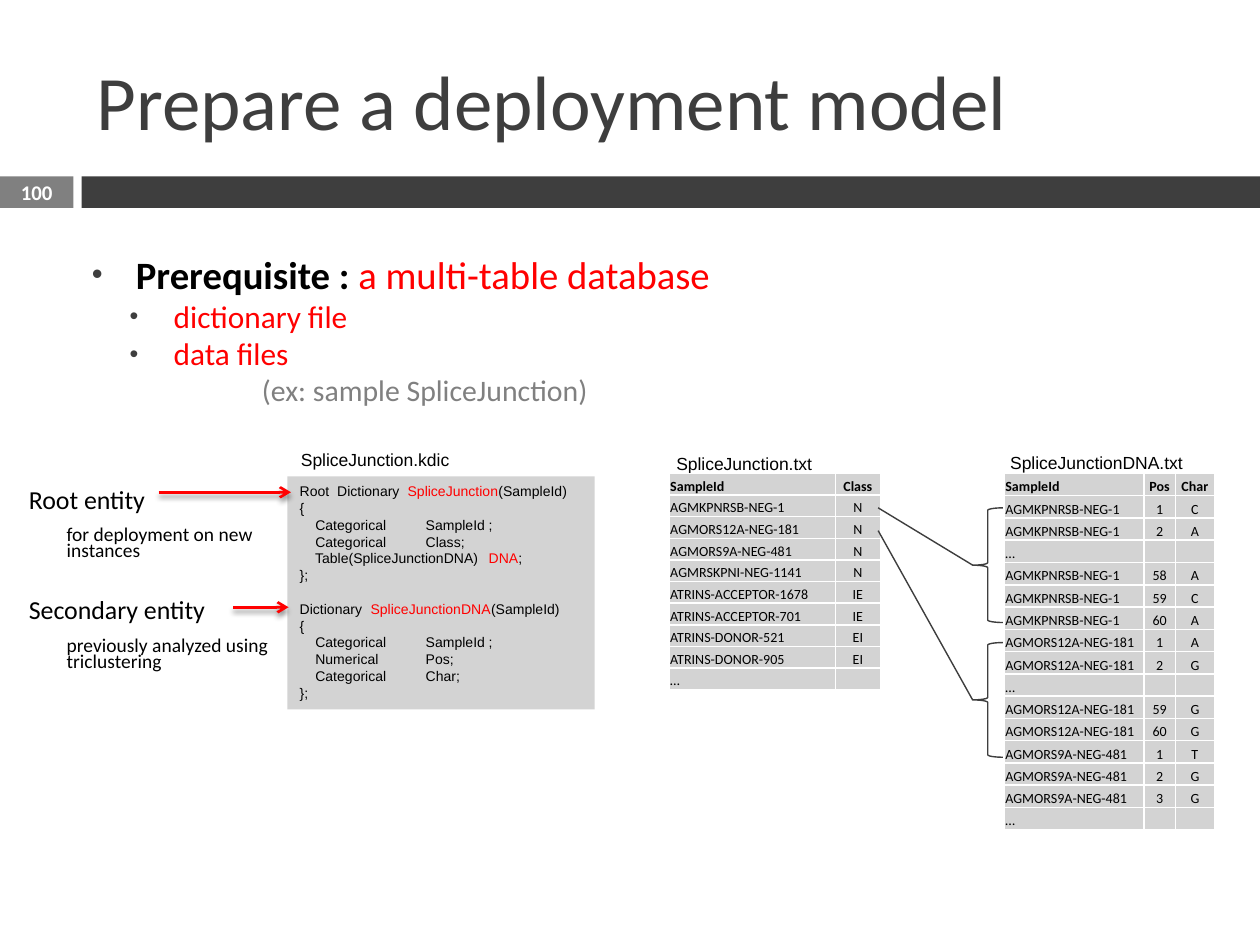
from lxml.etree import SubElement
from pptx import Presentation
from pptx.dml.color import RGBColor
from pptx.enum.shapes import MSO_CONNECTOR, MSO_SHAPE
from pptx.enum.text import MSO_ANCHOR, PP_ALIGN
from pptx.oxml.ns import qn
from pptx.util import Pt

BLACK = RGBColor(0, 0, 0)
WHITE = RGBColor(255, 255, 255)
RED = RGBColor(255, 0, 0)
CHARCOAL = RGBColor(0x3E, 0x3E, 0x3E)
GREY = RGBColor(0x80, 0x80, 0x80)
PANEL = RGBColor(0xD3, 0xD3, 0xD3)

DICTIONARY_LINES = [
    [("Root  Dictionary  ", BLACK), ("SpliceJunction", RED), ("(SampleId)", BLACK)],
    [("{", BLACK)],
    [("    Categorical\tSampleId\t;", BLACK)],
    [("    Categorical\tClass;", BLACK)],
    [("    Table(SpliceJunctionDNA)\t", BLACK), ("DNA", RED), (";", BLACK)],
    [("};", BLACK)],
    [("Dictionary\t  ", BLACK), ("SpliceJunctionDNA", RED), ("(SampleId)", BLACK)],
    [("{", BLACK)],
    [("    Categorical\tSampleId\t;", BLACK)],
    [("    Numerical\tPos;", BLACK)],
    [("    Categorical\tChar;", BLACK)],
    [("};", BLACK)],
]
SECOND_DICTIONARY = 6
SAMPLES = [
    ("SampleId", "Class"),
    ("AGMKPNRSB-NEG-1", "N"),
    ("AGMORS12A-NEG-181", "N"),
    ("AGMORS9A-NEG-481", "N"),
    ("AGMRSKPNI-NEG-1141", "N"),
    ("ATRINS-ACCEPTOR-1678", "IE"),
    ("ATRINS-ACCEPTOR-701", "IE"),
    ("ATRINS-DONOR-521", "EI"),
    ("ATRINS-DONOR-905", "EI"),
    ("…", ""),
]
POSITIONS = [
    ("SampleId", "Pos", "Char"),
    ("AGMKPNRSB-NEG-1", "1", "C"),
    ("AGMKPNRSB-NEG-1", "2", "A"),
    ("…", "", ""),
    ("AGMKPNRSB-NEG-1", "58", "A"),
    ("AGMKPNRSB-NEG-1", "59", "C"),
    ("AGMKPNRSB-NEG-1", "60", "A"),
    ("AGMORS12A-NEG-181", "1", "A"),
    ("AGMORS12A-NEG-181", "2", "G"),
    ("…", "", ""),
    ("AGMORS12A-NEG-181", "59", "G"),
    ("AGMORS12A-NEG-181", "60", "G"),
    ("AGMORS9A-NEG-481", "1", "T"),
    ("AGMORS9A-NEG-481", "2", "G"),
    ("AGMORS9A-NEG-481", "3", "G"),
    ("…", "", ""),
]


def set_font(font, size, color, name="Calibri", bold=False):
    font.size, font.name, font.bold = Pt(size), name, bold
    font.color.rgb = color


def add_shape(page, kind, left, top, width, height, fill=None):
    shape = page.shapes.add_shape(kind, Pt(left), Pt(top), Pt(width), Pt(height))
    shape.shadow.inherit = False
    if fill is None:
        shape.fill.background()
        shape.line.color.rgb = CHARCOAL
        shape.line.width = Pt(0.79)
    else:
        shape.fill.solid()
        shape.fill.fore_color.rgb = fill
        shape.line.fill.background()
    return shape


def add_frame(page, left, top, width, height, anchor=MSO_ANCHOR.TOP):
    frame = page.shapes.add_textbox(Pt(left), Pt(top), Pt(width), Pt(height)).text_frame
    frame.word_wrap = True
    frame.vertical_anchor = anchor
    return frame


def next_para(frame, index):
    return frame.add_paragraph() if index else frame.paragraphs[0]


def add_line(page, start, end, color, width):
    line = page.shapes.add_connector(
        MSO_CONNECTOR.STRAIGHT, Pt(start[0]), Pt(start[1]), Pt(end[0]), Pt(end[1]))
    line.line.color.rgb = color
    line.line.width = Pt(width)
    properties = line._element.spPr
    return properties.find(qn("a:ln")), SubElement(properties, qn("a:effectLst"))


def add_arrow(page, left, right, y):
    stroke, effects = add_line(page, (left, y), (right, y), RED, 1.5)
    SubElement(stroke, qn("a:tailEnd"), type="arrow")
    shadow = SubElement(effects, qn("a:outerShdw"), blurRad=str(Pt(3)), dist=str(Pt(2.4)),
                        dir="5400000", rotWithShape="0")
    black = SubElement(shadow, qn("a:srgbClr"), val=str(BLACK))
    SubElement(black, qn("a:alpha"), val="45000")


def add_heading(page, left, top, width, height):
    para = add_frame(page, left, top, width, height, MSO_ANCHOR.MIDDLE).paragraphs[0]
    para.text = "Prepare a deployment model"
    set_font(para.font, 44, CHARCOAL)


def add_banner(page, left, top, width, height):
    number_width, gap = 42, 4.7
    bar_left = left + number_width + gap
    add_shape(page, MSO_SHAPE.RECTANGLE, left, top, number_width, height, GREY)
    add_shape(page, MSO_SHAPE.RECTANGLE, bar_left, top, left + width - bar_left, height, CHARCOAL)
    frame = add_frame(page, left, top, number_width, height, MSO_ANCHOR.MIDDLE)
    para = frame.paragraphs[0]
    para.text = "100"
    para.alignment = PP_ALIGN.CENTER
    set_font(para.font, 11.9, WHITE, bold=True)


def add_prerequisites(page, left, top, width, height):
    frame = add_frame(page, left, top, width, height)
    items = [
        (34.6, 22.1, RED, "a multi-table database"),
        (56.2, 17.9, RED, "dictionary file"),
        (56.2, 17.9, RED, "data files"),
        (106.6, 17, GREY, "(ex: sample SpliceJunction)"),
    ]
    for index, (margin, size, color, text) in enumerate(items):
        para = next_para(frame, index)
        layout = para._p.get_or_add_pPr()
        layout.set("marL", str(Pt(margin)))
        if color == RED:
            layout.set("indent", str(Pt(-25.2)))
            tint = SubElement(layout, qn("a:buClr"))
            SubElement(tint, qn("a:srgbClr"), val=str(CHARCOAL))
            SubElement(layout, qn("a:buSzPct"), val="80000")
            SubElement(layout, qn("a:buFont"), typeface="Arial")
            SubElement(layout, qn("a:buChar"), char="•")
        if index == 0:
            span = para.add_run()
            span.text = "Prerequisite : "
            set_font(span.font, size, BLACK, bold=True)
        span = para.add_run()
        span.text = text
        set_font(span.font, size, color)


def add_entities(page, left, top, width, height):
    frame = add_frame(page, left, top, width, height)
    items = [
        (0, 14.8, 0, "Root entity"),
        (21.6, 11.1, 8.6, "for deployment on new instances"),
        (0, 14.8, 23.6, "Secondary entity"),
        (21.6, 11.1, 8.6, "previously analyzed using triclustering"),
    ]
    for index, (margin, size, before, text) in enumerate(items):
        para = next_para(frame, index)
        para.text = text
        para.line_spacing = 0.7
        para.space_before = Pt(before)
        para._p.get_or_add_pPr().set("marL", str(Pt(margin)))
        set_font(para.font, size, BLACK)


def add_caption(page, left, top, text):
    para = add_frame(page, left, top, 128, 19.4).paragraphs[0]
    para.text = text
    set_font(para.font, 10, BLACK, "Arial")


def add_dictionary(page, left, top, width, height):
    add_caption(page, left + 0.7, top - 19.4, "SpliceJunction.kdic")
    frame = add_shape(page, MSO_SHAPE.RECTANGLE, left, top, width, height, PANEL).text_frame
    frame.word_wrap = True
    frame.vertical_anchor = MSO_ANCHOR.TOP
    for index, line in enumerate(DICTIONARY_LINES):
        para = next_para(frame, index)
        para.alignment = PP_ALIGN.LEFT
        para.line_spacing = Pt(9.6)
        para.space_before = Pt(9.6 if index == SECOND_DICTIONARY else 0)
        stops = SubElement(para._p.get_or_add_pPr(), qn("a:tabLst"))
        for position in (36, 72, 108):
            SubElement(stops, qn("a:tab"), pos=str(Pt(position)), algn="l")
        for text, color in line:
            span = para.add_run()
            span.text = text
            set_font(span.font, 8, color, "Arial")


def add_data_table(page, left, top, widths, height, rows):
    table = page.shapes.add_table(
        len(rows), len(widths), Pt(left), Pt(top), Pt(sum(widths)), Pt(height)).table
    for column, width in zip(table.columns, widths):
        column.width = Pt(width)
    for row_index, values in enumerate(rows):
        table.rows[row_index].height = Pt(height / len(rows))
        for column_index, value in enumerate(values):
            cell = table.cell(row_index, column_index)
            cell.fill.solid()
            cell.fill.fore_color.rgb = PANEL
            cell.margin_left = cell.margin_top = cell.margin_right = Pt(0.7)
            cell.margin_bottom = Pt(0)
            cell.vertical_anchor = MSO_ANCHOR.BOTTOM
            para = cell.text_frame.paragraphs[0]
            para.alignment = PP_ALIGN.CENTER if column_index else PP_ALIGN.LEFT
            if value:
                para.text = value
            else:
                SubElement(para._p, qn("a:endParaRPr"), sz="800")
            set_font(para.font, 8, BLACK, bold=row_index == 0)


def add_links(page, left, top, width, height):
    brace_width, brace_height = 17.3, 65.5
    brace_left = left + width - brace_width
    for start, brace_top in ((top, top), (top + 13, top + height - brace_height)):
        add_shape(page, MSO_SHAPE.LEFT_BRACE, brace_left, brace_top, brace_width, brace_height)
        add_line(page, (left, start), (brace_left, brace_top + brace_height / 2), CHARCOAL, 0.79)


def main():
    deck = Presentation()
    deck.slide_width, deck.slide_height = Pt(720), Pt(540)
    page = deck.slides.add_slide(deck.slide_layouts[6])
    add_heading(page, 48.2, 18, 642, 78)
    add_banner(page, 0, 100.8, 720, 18)
    add_prerequisites(page, 36, 139.7, 670, 87)
    add_dictionary(page, 164.2, 272.2, 175.7, 133.2)
    add_entities(page, 9.4, 277.5, 153.4, 111)
    add_arrow(page, 90.7, 166.3, 281.3)
    add_arrow(page, 133.2, 164.9, 347)
    add_caption(page, 379.4, 255.6, "SpliceJunction.txt")
    add_data_table(page, 382.3, 270.5, (95, 25.9), 123.8, SAMPLES)
    add_caption(page, 570.2, 254.9, "SpliceJunctionDNA.txt")
    add_data_table(page, 573.8, 270.5, (79.9, 18, 22.3), 203.8, POSITIONS)
    add_links(page, 501.8, 290.2, 71.3, 142.5)
    deck.save("out.pptx")


if __name__ == "__main__":
    main()
